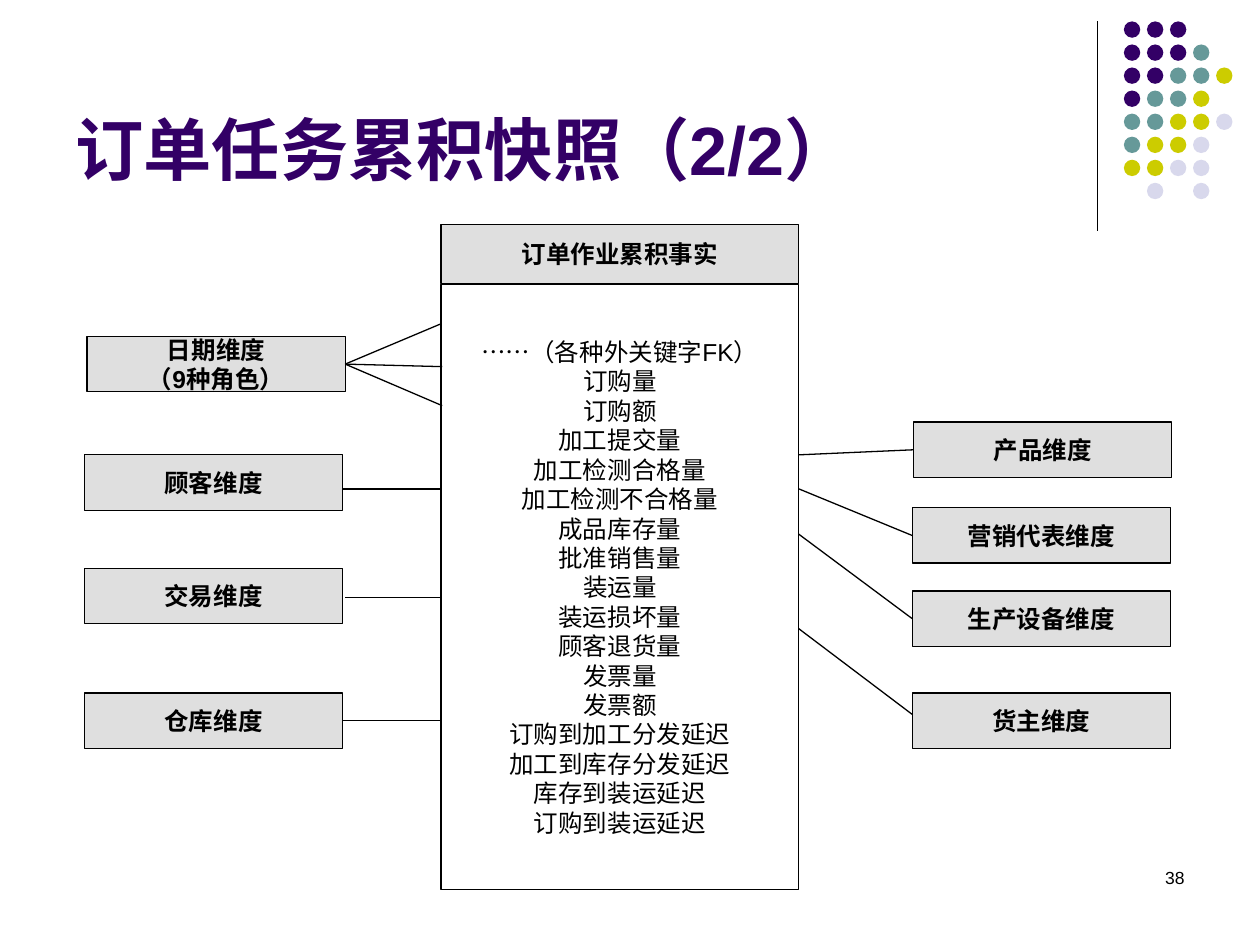
from lxml import etree
from pptx import Presentation
from pptx.dml.color import RGBColor
from pptx.enum.shapes import MSO_CONNECTOR, MSO_SHAPE
from pptx.enum.text import MSO_ANCHOR, PP_ALIGN
from pptx.oxml.ns import qn
from pptx.util import Inches, Pt

RECT, OVAL = MSO_SHAPE.RECTANGLE, MSO_SHAPE.OVAL
LINE = MSO_CONNECTOR.STRAIGHT
TOP, MIDDLE, BOTTOM = MSO_ANCHOR.TOP, MSO_ANCHOR.MIDDLE, MSO_ANCHOR.BOTTOM
LEFT, CENTER, RIGHT = PP_ALIGN.LEFT, PP_ALIGN.CENTER, PP_ALIGN.RIGHT
WEST, EAST = 1, 3
FONT = "Arial"
COLORS = {"ink": "000000", "box": "C0C0C0", "P": "330066",
          "T": "669999", "Y": "CCCC00", "L": "D8D8EC"}
DOTS = ["PPP", "PPPT", "PPTTY", "PTTY", "TTYYL", "TYYL", "YYLL", " L L"]
FACTS = [
    "……（各种外关键字FK）", "订购量", "订购额", "加工提交量", "加工检测合格量",
    "加工检测不合格量", "成品库存量", "批准销售量", "装运量", "装运损坏量",
    "顾客退货量", "发票量", "发票额", "订购到加工分发延迟",
    "加工到库存分发延迟", "库存到装运延迟", "订购到装运延迟",
]
DIMS = [
    ("日期维度\n（9种角色）", 0.69, 2.67, EAST, [(3.51, 2.91), (3.5, 2.57), (3.51, 3.22)]),
    ("顾客维度", 0.67, 3.61, None, []),
    ("交易维度", 0.67, 4.51, None, []),
    ("仓库维度", 0.67, 5.5, EAST, [(3.49, 5.72)]),
    ("产品维度", 7.25, 3.35, WEST, [(6.34, 3.61)]),
    ("营销代表维度", 7.24, 4.03, WEST, [(6.34, 3.88)]),
    ("生产设备维度", 7.24, 4.69, WEST, [(6.34, 4.24)]),
    ("货主维度", 7.24, 5.5, None, []),
]
LOOSE = [(2.72, 3.88, 3.49, 3.88), (2.74, 4.74, 3.51, 4.74),
         (6.34, 4.99, 7.24, 5.67), (8.71, 0.17, 8.71, 1.83)]


def rgb(key):
    """Return the colour stored under a key."""
    return RGBColor.from_string(COLORS[key])


def write(shape, text, size, bold=False, color="ink", align=CENTER, anchor=MIDDLE):
    """Put formatted text into a shape."""
    frame = shape.text_frame
    frame.text = text
    frame.word_wrap = True
    frame.vertical_anchor = anchor
    for para in frame.paragraphs:
        para.alignment = align
        for run in para.runs:
            run.font.name = FONT
            run.font.size = Pt(size)
            run.font.bold = bold
            run.font.color.rgb = rgb(color)


def label(slide, place, text, size, **style):
    """Add a plain text box."""
    write(slide.shapes.add_textbox(*map(Inches, place)), text, size, **style)


def box(slide, place, text, filled=True):
    """Add an outlined box, either half-clear grey with bold text or hollow."""
    shape = slide.shapes.add_shape(RECT, *map(Inches, place))
    shape.shadow.inherit = False
    shape.line.color.rgb = rgb("ink")
    shape.line.width = Pt(0.75)
    if filled:
        shape.fill.solid()
        shape.fill.fore_color.rgb = rgb("box")
        tint = shape.fill._xPr.find(".//" + qn("a:srgbClr"))
        etree.SubElement(tint, qn("a:alpha"), val="50000")
    else:
        shape.fill.background()
    write(shape, text, 14, bold=filled)
    return shape


def link(slide, x1, y1, x2, y2):
    """Add a thin straight line."""
    line = slide.shapes.add_connector(LINE, *map(Inches, (x1, y1, x2, y2)))
    line.line.color.rgb = rgb("ink")
    line.line.width = Pt(0.75)
    etree.SubElement(line._element.spPr, qn("a:effectLst"))
    return line


def dots(slide):
    """Draw the corner grid of coloured dots."""
    for row, keys in enumerate(DOTS):
        for col, key in enumerate(keys):
            if key == " ":
                continue
            place = (8.92 + col * 0.183, 0.17 + row * 0.183, 0.13, 0.13)
            dot = slide.shapes.add_shape(OVAL, *map(Inches, place))
            dot.shadow.inherit = False
            dot.fill.solid()
            dot.fill.fore_color.rgb = rgb(key)
            dot.line.fill.background()


def main():
    """Build the slide and save it."""
    deck = Presentation()
    deck.slide_width, deck.slide_height = Inches(10), Inches(7.5)
    slide = deck.slides.add_slide(deck.slide_layouts[6])
    dots(slide)
    label(slide, (0.5, 0.13, 8.25, 1.42), "订单任务累积快照（2/2）", 39,
          bold=True, color="P", align=LEFT, anchor=BOTTOM)
    label(slide, (7.17, 6.83, 2.33, 0.5), "38", 10, align=RIGHT, anchor=TOP)
    box(slide, (3.5, 1.78, 2.84, 0.47), "订单作业累积事实")
    box(slide, (3.5, 2.26, 2.84, 4.8), "\n".join(FACTS), filled=False)
    for text, x, y, side, ends in DIMS:
        shape = box(slide, (x, y, 2.05, 0.44), text)
        for end in ends:
            link(slide, x, y, *end).begin_connect(shape, side)
    for ends in LOOSE:
        link(slide, *ends)
    deck.save("out.pptx")


if __name__ == "__main__":
    main()
